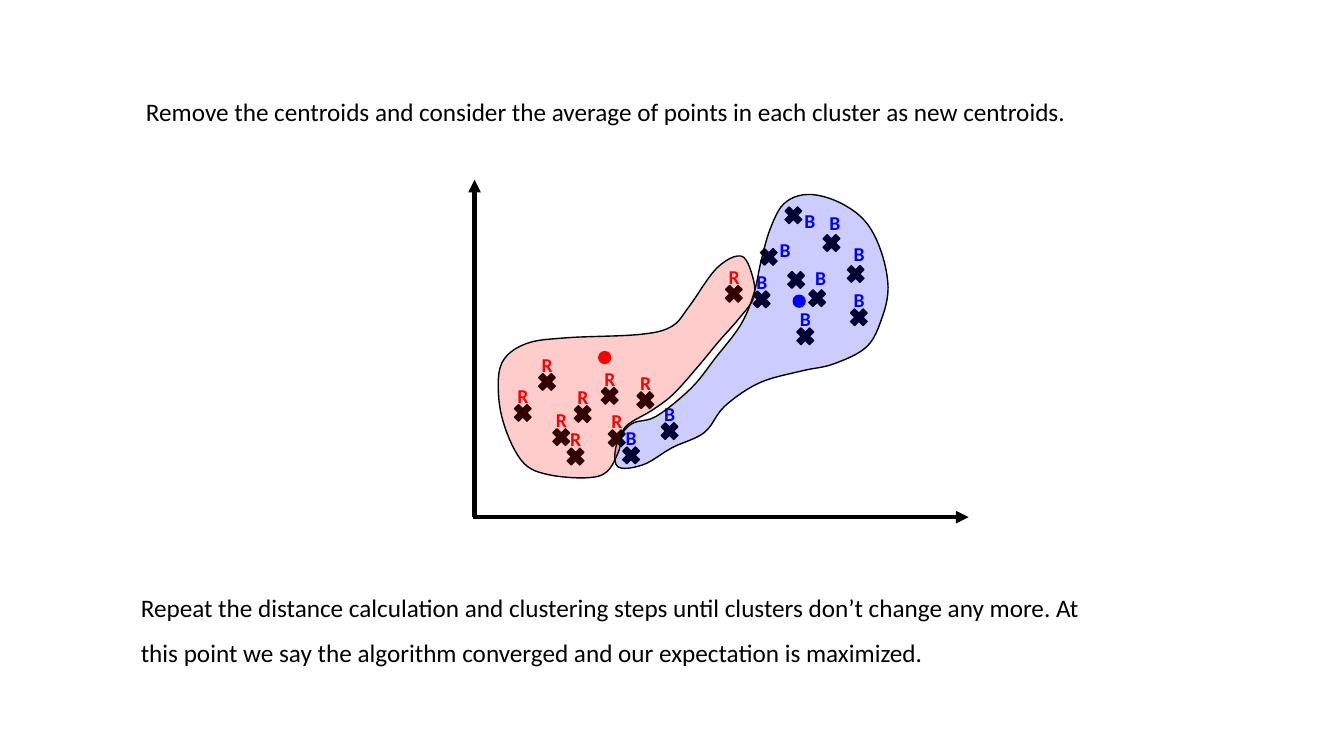
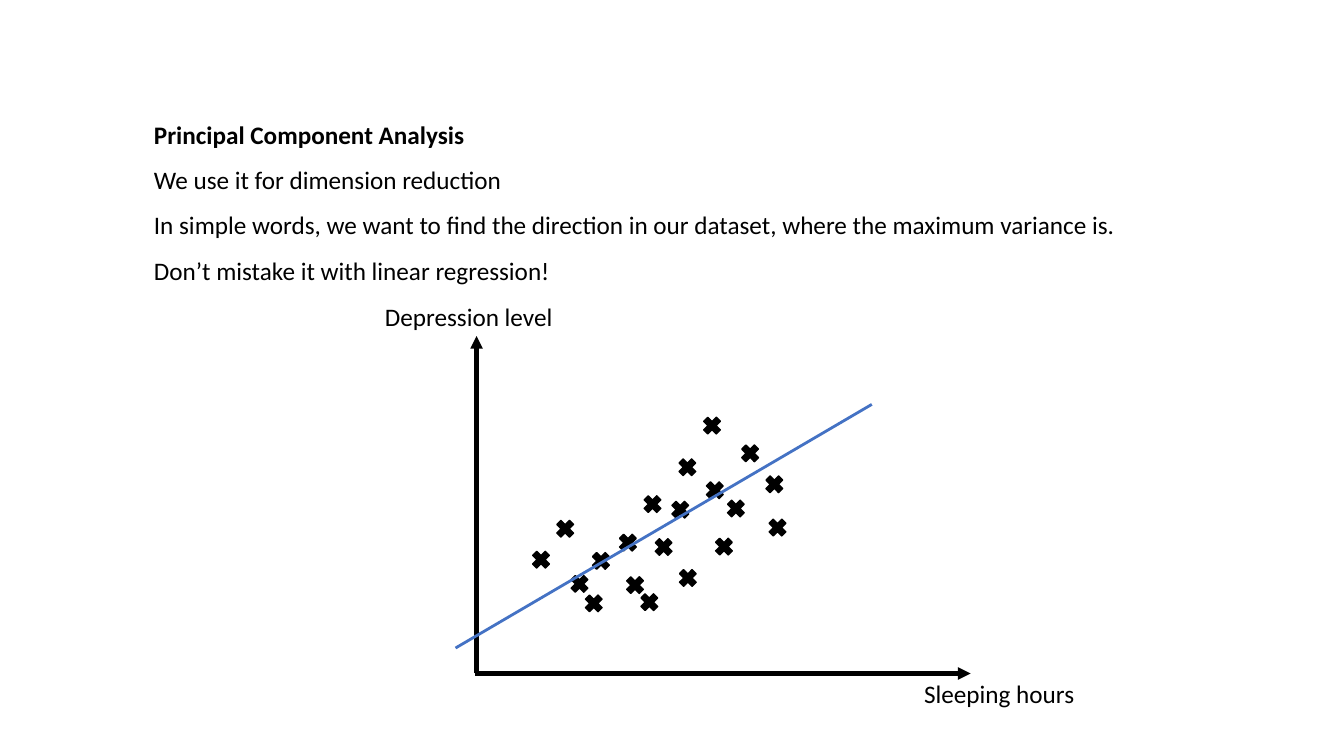
import dataclasses
import typing

import pptx
import pptx.dml.color
import pptx.enum.shapes
import pptx.enum.text
import pptx.oxml
import pptx.oxml.ns
import pptx.shapes.autoshape
import pptx.shapes.connector
import pptx.slide
import pptx.util
from pptx.util import Cm

BLACK = pptx.dml.color.RGBColor(0x00, 0x00, 0x00)
RED = pptx.dml.color.RGBColor(0xFF, 0x00, 0x00)
BLUE = pptx.dml.color.RGBColor(0x00, 0x00, 0xFF)
TREND_BLUE = pptx.dml.color.RGBColor(0x44, 0x72, 0xC4)
CLUSTER_COLORS = {"B": BLUE, "R": RED}

FONT = "Calibri"
BODY_SIZE = 18
LABEL_SIZE = 14
MARK_SIZE = 0.61
CENTROID_SIZE = 0.3
LABEL_WIDTH, LABEL_HEIGHT = 0.69, 0.86
AXIS_WIDTH, AXIS_HEIGHT = 12.5, 8.5
OUTLINE_OPACITY = 20
CURVE_STEPS = 6


class Spot(typing.NamedTuple):
    """A position or a step on the page, in centimetres."""

    x: float
    y: float

    def moved(self, dx: float, dy: float) -> "Spot":
        return Spot(self.x + dx, self.y + dy)


# Steps from a mark to its label.
ABOVE = Spot(-0.08, -0.56)
STRAIGHT_ABOVE = Spot(0, -0.64)
UPPER_RIGHT = Spot(0.33, -0.3)
RIGHT = Spot(0.33, 0.03)


@dataclasses.dataclass(frozen=True)
class Box:
    left: float
    top: float
    width: float
    height: float

    def lengths(self) -> tuple[Cm, Cm, Cm, Cm]:
        return Cm(self.left), Cm(self.top), Cm(self.width), Cm(self.height)


@dataclasses.dataclass(frozen=True)
class Mark:
    """A data point, placed from its group's anchor; letter names its cluster."""

    step: Spot
    letter: str = ""
    label_step: Spot = ABOVE


@dataclasses.dataclass(frozen=True)
class Cluster:
    """A region whose smooth closed outline runs through the bends."""

    letter: str
    centroid: Spot
    bends: list[Spot]


QUINTET = [Spot(0, 0), Spot(0.36, -1.39), Spot(-1.22, -1.04),
           Spot(0.97, -0.61), Spot(-1.4, 0.03)]
QUINTET_MIRRORED = [Spot(-step.x, step.y) for step in QUINTET]
MIRRORED_SHIFT = Spot(-1.76, -0.46)

LOWER_GROUP = [
    *(Mark(step, letter) for step, letter in zip(QUINTET, "BRRBR")),
    *(Mark(step.moved(*MIRRORED_SHIFT), "R") for step in QUINTET_MIRRORED),
]
UPPER_GROUP = [
    *(Mark(step, "B", label_step) for step, label_step in zip(
        QUINTET,
        [STRAIGHT_ABOVE, STRAIGHT_ABOVE, UPPER_RIGHT, STRAIGHT_ABOVE, ABOVE])),
    Mark(Spot(-0.3, 0.96), "B"),
    Mark(Spot(-0.53, -0.46)),
    Mark(Spot(-2.1, -0.11), "R"),
    Mark(Spot(1.05, 0.48), "B"),
    Mark(Spot(-0.6, -2.09), "B", RIGHT),
]

BLUE_TOP = [Spot(19.41, 5.77), Spot(19.76, 5.13), Spot(20.35, 4.9),
            Spot(21.11, 5.08), Spot(21.79, 5.56)]
BLUE_RIGHT = [Spot(22.2, 6.32), Spot(22.38, 7.24), Spot(22.22, 8.03),
              Spot(21.84, 8.74), Spot(21.01, 9.17)]
BLUE_BOTTOM = [Spot(20.19, 9.35), Spot(19.13, 9.65), Spot(18.26, 10.24),
               Spot(17.75, 10.9), Spot(16.94, 11.28), Spot(16.21, 11.71)]
BLUE_LEFT = [Spot(15.57, 11.76), Spot(15.54, 11.2), Spot(15.9, 10.69),
             Spot(16.54, 10.49), Spot(17.42, 9.78), Spot(18.03, 9.02),
             Spot(18.67, 8.18), Spot(19, 7.39), Spot(19.18, 6.58)]

RED_TOP = [Spot(13.26, 8.66), Spot(14.3, 8.51), Spot(16.1, 8.43),
           Spot(16.92, 8.23), Spot(17.37, 7.72), Spot(18.06, 6.76),
           Spot(18.67, 6.45)]
RED_RIGHT = [Spot(18.95, 6.91), Spot(19, 7.49), Spot(18.62, 8.03),
             Spot(18.11, 8.61), Spot(17.63, 9.19), Spot(16.97, 9.93),
             Spot(16.43, 10.34), Spot(15.75, 10.77), Spot(15.6, 11.35)]
RED_BOTTOM = [Spot(15.29, 11.89), Spot(14.76, 12.04), Spot(13.82, 11.96),
              Spot(13.21, 11.68)]
RED_LEFT = [Spot(12.78, 10.92), Spot(12.57, 10.03), Spot(12.65, 9.14)]

CLUSTERS = [
    Cluster("B", Spot(19.99, 7.44),
            BLUE_TOP + BLUE_RIGHT + BLUE_BOTTOM + BLUE_LEFT),
    Cluster("R", Spot(15.09, 8.86),
            RED_TOP + RED_RIGHT + RED_BOTTOM + RED_LEFT),
]


def spline(a: float, b: float, c: float, d: float, t: float) -> float:
    """Catmull-Rom value between b (t = 0) and c (t = 1)."""
    return b + t / 2 * (
        c - a + t * (2 * a - 5 * b + 4 * c - d + t * (3 * (b - c) + d - a)))


def smooth_outline(bends: list[Spot]) -> list[Spot]:
    curve = []
    for index in range(len(bends)):
        near = [bends[(index + shift) % len(bends)] for shift in (-1, 0, 1, 2)]
        xs, ys = zip(*near)
        for step in range(CURVE_STEPS):
            t = step / CURVE_STEPS
            curve.append(Spot(spline(*xs, t), spline(*ys, t)))
    return curve


def add_text(
    page: pptx.slide.Slide,
    box: Box,
    lines: list[str],
    spacing: float = 1.0,
    bold_first: bool = False,
) -> None:
    frame = page.shapes.add_textbox(*box.lengths()).text_frame
    frame.word_wrap = True
    frame.text = "\n".join(lines)
    for index, para in enumerate(frame.paragraphs):
        para.line_spacing = spacing
        para.font.name = FONT
        para.font.size = pptx.util.Pt(BODY_SIZE)
        para.font.bold = bold_first and index == 0
        para.font.color.rgb = BLACK


def add_label(page: pptx.slide.Slide, spot: Spot, letter: str) -> None:
    box = Box(spot.x, spot.y, LABEL_WIDTH, LABEL_HEIGHT)
    frame = page.shapes.add_textbox(*box.lengths()).text_frame
    frame.word_wrap = False
    para = frame.paragraphs[0]
    para.text = letter
    para.alignment = pptx.enum.text.PP_ALIGN.CENTER
    para.font.name = FONT
    para.font.size = pptx.util.Pt(LABEL_SIZE)
    para.font.bold = True
    para.font.color.rgb = CLUSTER_COLORS[letter]


def paint(
    shape: pptx.shapes.autoshape.Shape,
    fill: pptx.dml.color.RGBColor,
    line: pptx.dml.color.RGBColor,
) -> None:
    shape.shadow.inherit = False
    shape.fill.solid()
    shape.fill.fore_color.rgb = fill
    shape.line.color.rgb = line
    shape.line.width = pptx.util.Pt(1)


def add_symbol(
    page: pptx.slide.Slide,
    kind: pptx.enum.shapes.MSO_SHAPE,
    spot: Spot,
    size: float,
    color: pptx.dml.color.RGBColor,
) -> None:
    box = Box(spot.x, spot.y, size, size)
    paint(page.shapes.add_shape(kind, *box.lengths()), color, color)


def add_marks(page: pptx.slide.Slide, group: list[Mark], anchor: Spot) -> None:
    for mark in group:
        add_symbol(page, pptx.enum.shapes.MSO_SHAPE.MATH_MULTIPLY,
                   anchor.moved(*mark.step), MARK_SIZE, BLACK)


def add_labels(page: pptx.slide.Slide, group: list[Mark], anchor: Spot) -> None:
    for mark in group:
        if mark.letter:
            spot = anchor.moved(*mark.step).moved(*mark.label_step)
            add_label(page, spot, mark.letter)


def add_line(
    page: pptx.slide.Slide,
    start: Spot,
    end: Spot,
    color: pptx.dml.color.RGBColor,
    width: float,
) -> pptx.shapes.connector.Connector:
    connector = page.shapes.add_connector(
        pptx.enum.shapes.MSO_CONNECTOR.STRAIGHT,
        Cm(start.x), Cm(start.y), Cm(end.x), Cm(end.y))
    connector.line.color.rgb = color
    connector.line.width = pptx.util.Pt(width)
    connector._element.spPr.append(pptx.oxml.parse_xml(
        f"<a:effectLst {pptx.oxml.ns.nsdecls('a')}/>"))
    return connector


def add_axes(page: pptx.slide.Slide, origin: Spot) -> None:
    corner = origin.moved(-0.05, 0)
    for start, end in [(corner, corner.moved(AXIS_WIDTH, 0)),
                       (origin, origin.moved(0, -AXIS_HEIGHT))]:
        axis = add_line(page, start, end, BLACK, 3)
        axis.line._get_or_add_ln().append(pptx.oxml.parse_xml(
            f"<a:tailEnd {pptx.oxml.ns.nsdecls('a')} type='triangle'/>"))


def add_outline(page: pptx.slide.Slide, cluster: Cluster) -> None:
    first, *rest = [(Cm(x), Cm(y)) for x, y in smooth_outline(cluster.bends)]
    builder = page.shapes.build_freeform(*first)
    builder.add_line_segments(rest, close=True)
    shape = builder.convert_to_shape()
    paint(shape, CLUSTER_COLORS[cluster.letter], BLACK)
    color = shape._element.spPr.find(
        f"{pptx.oxml.ns.qn('a:solidFill')}/{pptx.oxml.ns.qn('a:srgbClr')}")
    color.append(pptx.oxml.parse_xml(
        f"<a:alpha {pptx.oxml.ns.nsdecls('a')} val='{OUTLINE_OPACITY * 1000}'/>"))


def draw_clustering(page: pptx.slide.Slide) -> None:
    add_axes(page, Spot(11.96, 13.03))
    placed_groups = [(LOWER_GROUP, Spot(15.6, 11.17)),
                     (UPPER_GROUP, Spot(20.29, 7.21))]
    for group, anchor in placed_groups:
        add_marks(page, group, anchor)
    for cluster in CLUSTERS:
        add_symbol(page, pptx.enum.shapes.MSO_SHAPE.OVAL, cluster.centroid,
                   CENTROID_SIZE, CLUSTER_COLORS[cluster.letter])
    for group, anchor in placed_groups:
        add_labels(page, group, anchor)
    for cluster in CLUSTERS:
        add_outline(page, cluster)
    add_text(page, Box(3.43, 1.92, 24.77, 1.3), [
        "Remove the centroids and consider the average of points in each "
        "cluster as new centroids."], spacing=1.5)
    add_text(page, Box(3.3, 14.42, 24.77, 2.44), [
        "Repeat the distance calculation and clustering steps until clusters "
        "don’t change any more. At this point we say the algorithm converged "
        "and our expectation is maximized."], spacing=1.5)


def draw_component_analysis(page: pptx.slide.Slide) -> None:
    add_text(page, Box(3.63, 2.49, 25.45, 4.75), [
        "Principal Component Analysis",
        "We use it for dimension reduction",
        "In simple words, we want to find the direction in our dataset, where "
        "the maximum variance is. Don’t mistake it with linear regression!",
    ], spacing=1.5, bold_first=True)
    add_axes(page, Spot(12.01, 16.97))
    add_marks(page, LOWER_GROUP, Spot(16.06, 14.87))
    add_marks(page, UPPER_GROUP, Spot(18.24, 12.51))
    add_text(page, Box(23.04, 16.97, 4.37, 1.02), ["Sleeping hours"])
    add_text(page, Box(9.45, 7.48, 5.03, 1.02), ["Depression level"])
    add_line(page, Spot(11.48, 16.33), Spot(21.97, 10.19), TREND_BLUE, 2)


def main() -> None:
    deck = pptx.Presentation()
    deck.slide_width, deck.slide_height = Cm(33.87), Cm(19.05)
    blank = deck.slide_layouts[6]
    for draw in (draw_clustering, draw_component_analysis):
        draw(deck.slides.add_slide(blank))
    deck.save("out.pptx")


if __name__ == "__main__":
    main()
